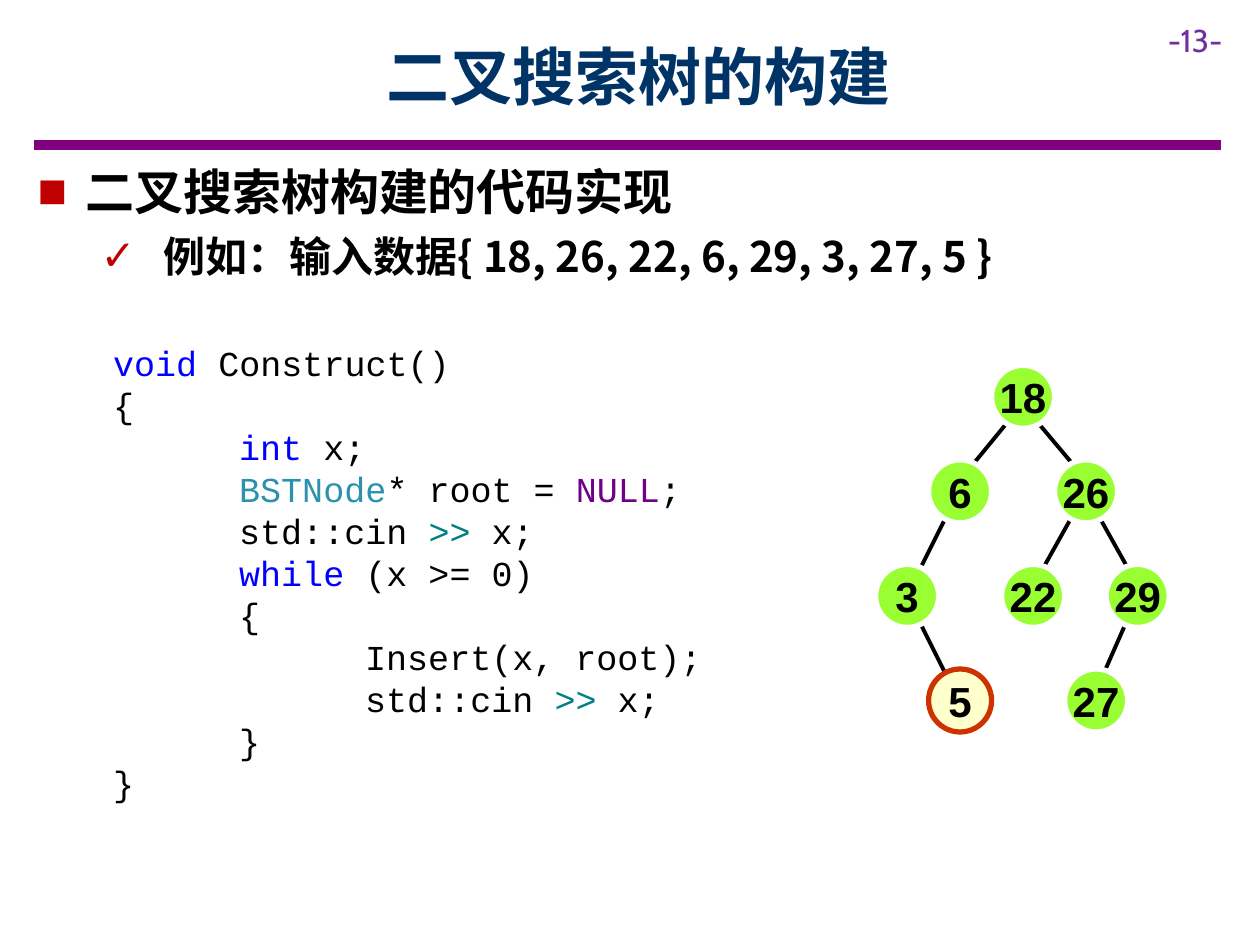
from lxml import etree
from pptx import Presentation
from pptx.dml.color import RGBColor
from pptx.enum.shapes import MSO_CONNECTOR, MSO_SHAPE
from pptx.enum.text import MSO_ANCHOR, MSO_AUTO_SIZE, PP_ALIGN
from pptx.oxml.ns import qn
from pptx.util import Pt

STRAIGHT, OVAL = MSO_CONNECTOR.STRAIGHT, MSO_SHAPE.OVAL
MIDDLE, CENTER, LEFT = MSO_ANCHOR.MIDDLE, PP_ALIGN.CENTER, PP_ALIGN.LEFT
NO_FIT = MSO_AUTO_SIZE.NONE
PX = 9144  # 100 px to the inch
TITLE_ONLY = 5
CJK, CODE, LABEL, NUMBER = "Noto Sans CJK SC", "Courier New", "Arial", "Cabin"
BLACK, WHITE, RED, PURPLE = "000000", "FFFFFF", "C00000", "800080"
KEYWORD, TYPE, MACRO, OPERATOR = "0000FF", "2B91AF", "6F008A", "008080"


def px(n):
    return n * PX


def rgb(value):
    return RGBColor.from_string(value)


class Deck:
    def __init__(self):
        self.prs = Presentation()
        self.prs.slide_width, self.prs.slide_height = px(1000), px(750)
        self.s = self.prs.slides.add_slide(self.prs.slide_layouts[TITLE_ONLY])

    def style(self, r, size, font, color=BLACK, bold=False):
        r.font.size, r.font.name, r.font.bold = Pt(size), font, bold
        r.font.color.rgb = rgb(color)
        if font == CJK:
            ea = etree.SubElement(r.font._element, qn("a:ea"))
            ea.set("typeface", font)

    def title(self, text, x, y, w, h):
        sp = self.s.shapes.title
        sp.left, sp.top, sp.width, sp.height = map(px, (x, y, w, h))
        tf = sp.text_frame
        tf.text = text
        tf.auto_size, tf.vertical_anchor = NO_FIT, MIDDLE
        p = tf.paragraphs[0]
        p.alignment = CENTER
        self.style(p.runs[0], 36, CJK, "003366", True)

    def text_box(self, x, y, w, h):
        tf = self.s.shapes.add_textbox(*map(px, (x, y, w, h))).text_frame
        tf.word_wrap = True
        return tf

    def page_number(self, text, *box):
        tf = self.text_box(*box)
        tf.text = text
        self.style(tf.paragraphs[0].runs[0], 18, NUMBER, "7030A0")

    def bullets(self, items, *box):
        tf = self.text_box(*box)
        tf.text = "\n".join(text for text, *_ in items)
        for p, (_, level, size, margin, hang, mark) in zip(tf.paragraphs, items):
            p.level, p.alignment, p.space_after = level, LEFT, Pt(6)
            self.style(p.runs[0], size, CJK, bold=True)
            pPr = p._p.get_or_add_pPr()
            pPr.set("marL", str(px(margin)))
            pPr.set("indent", str(px(-hang)))
            color = etree.SubElement(pPr, qn("a:buClr"))
            etree.SubElement(color, qn("a:srgbClr")).set("val", RED)
            etree.SubElement(pPr, qn("a:buFont")).set("typeface", LABEL)
            etree.SubElement(pPr, qn("a:buChar")).set("char", mark)

    def code(self, lines, *box):
        tf = self.text_box(*box)
        for i, line in enumerate(lines):
            p = tf.add_paragraph() if i else tf.paragraphs[0]
            p.line_spacing = Pt(24)
            tabs = etree.SubElement(p._p.get_or_add_pPr(), qn("a:tabLst"))
            for stop in (100, 200):
                tab = etree.SubElement(tabs, qn("a:tab"))
                tab.set("pos", str(px(stop)))
                tab.set("algn", "l")
            for text, color in line:
                r = p.add_run()
                r.text = text
                self.style(r, 20, CODE, color)

    def line(self, x1, y1, x2, y2, color, width):
        sp = self.s.shapes.add_connector(STRAIGHT, *map(px, (x1, y1, x2, y2)))
        sp.line.color.rgb, sp.line.width = rgb(color), Pt(width)
        etree.SubElement(sp._element.spPr, qn("a:effectLst"))

    def node(self, text, cx, cy, fill, outline):
        size = 50
        box = (cx - size // 2, cy - size // 2, size, size)
        sp = self.s.shapes.add_shape(OVAL, *map(px, box))
        sp.shadow.inherit = False
        sp.fill.solid()
        sp.fill.fore_color.rgb = rgb(fill)
        sp.line.color.rgb, sp.line.width = rgb(outline), Pt(3)
        tf = sp.text_frame
        tf.text = text
        tf.word_wrap, tf.vertical_anchor = False, MIDDLE
        tf.margin_left = tf.margin_right = tf.margin_top = tf.margin_bottom = 0
        p = tf.paragraphs[0]
        p.alignment = CENTER
        self.style(p.runs[0], 24, LABEL, bold=True)


READ_X = [(">>", OPERATOR), (" x;", BLACK)]
CODE_LINES = [
    [("void", KEYWORD), (" Construct()", BLACK)],
    [("{", BLACK)],
    [("\tint", KEYWORD), (" x;", BLACK)],
    [("\tBSTNode", TYPE), ("* root = ", BLACK), ("NULL", MACRO), (";", BLACK)],
    [("\tstd::cin ", BLACK), *READ_X],
    [("\twhile", KEYWORD), (" (x >= 0)", BLACK)],
    [("\t{", BLACK)],
    [("\t\tInsert(x, root);", BLACK)],
    [("\t\tstd::cin ", BLACK), *READ_X],
    [("\t}", BLACK)],
    [("}", BLACK)],
]
BULLETS = [  # text, level, size, margin, hanging indent, mark
    ("二叉搜索树构建的代码实现", 0, 28, 38, 38, "■"),
    ("例如：输入数据{ 18, 26, 22, 6, 29, 3, 27, 5 }", 1, 24, 100, 50, "✓"),
]
LEVELS = [315, 390, 473, 556]  # centre of each tree level
TREE = {  # key: centre x, level
    18: (812, 0), 6: (762, 1), 26: (862, 1), 3: (720, 2),
    22: (820, 2), 29: (903, 2), 5: (762, 3), 27: (870, 3),
}
EDGES = [  # parent, child, offset from parent centre, offset from child centre
    (18, 6, (-9, 16), (0, -9)),
    (18, 26, (8, 16), (0, -9)),
    (6, 3, (-9, 16), (8, -17)),
    (26, 22, (-9, 16), (0, -8)),
    (26, 29, (8, 16), (0, -8)),
    (3, 5, (8, 17), (-9, -16)),
    (29, 27, (0, 0), (0, -8)),
]
NEW_KEY = 5


def main():
    deck = Deck()

    # Header
    deck.line(27, 115, 969, 115, PURPLE, 6)
    deck.page_number("-13-", 917, 12, 83, 40)
    deck.title("二叉搜索树的构建", 91, 10, 831, 100)

    # Bullets
    deck.bullets(BULLETS, 20, 123, 961, 106)

    # Tree: edges first, nodes on top
    centres = {key: (x, LEVELS[level]) for key, (x, level) in TREE.items()}
    for parent, child, (dx1, dy1), (dx2, dy2) in EDGES:
        (x1, y1), (x2, y2) = centres[parent], centres[child]
        deck.line(x1 + dx1, y1 + dy1, x2 + dx2, y2 + dy2, BLACK, 2.25)
    for key, (x, y) in centres.items():
        colors = ("FFFFCC", "CC3300") if key == NEW_KEY else ("99FF33", WHITE)
        deck.node(str(key), x, y, *colors)

    # Code
    deck.code(CODE_LINES, 80, 266, 548, 380)

    deck.prs.save("out.pptx")


if __name__ == "__main__":
    main()
